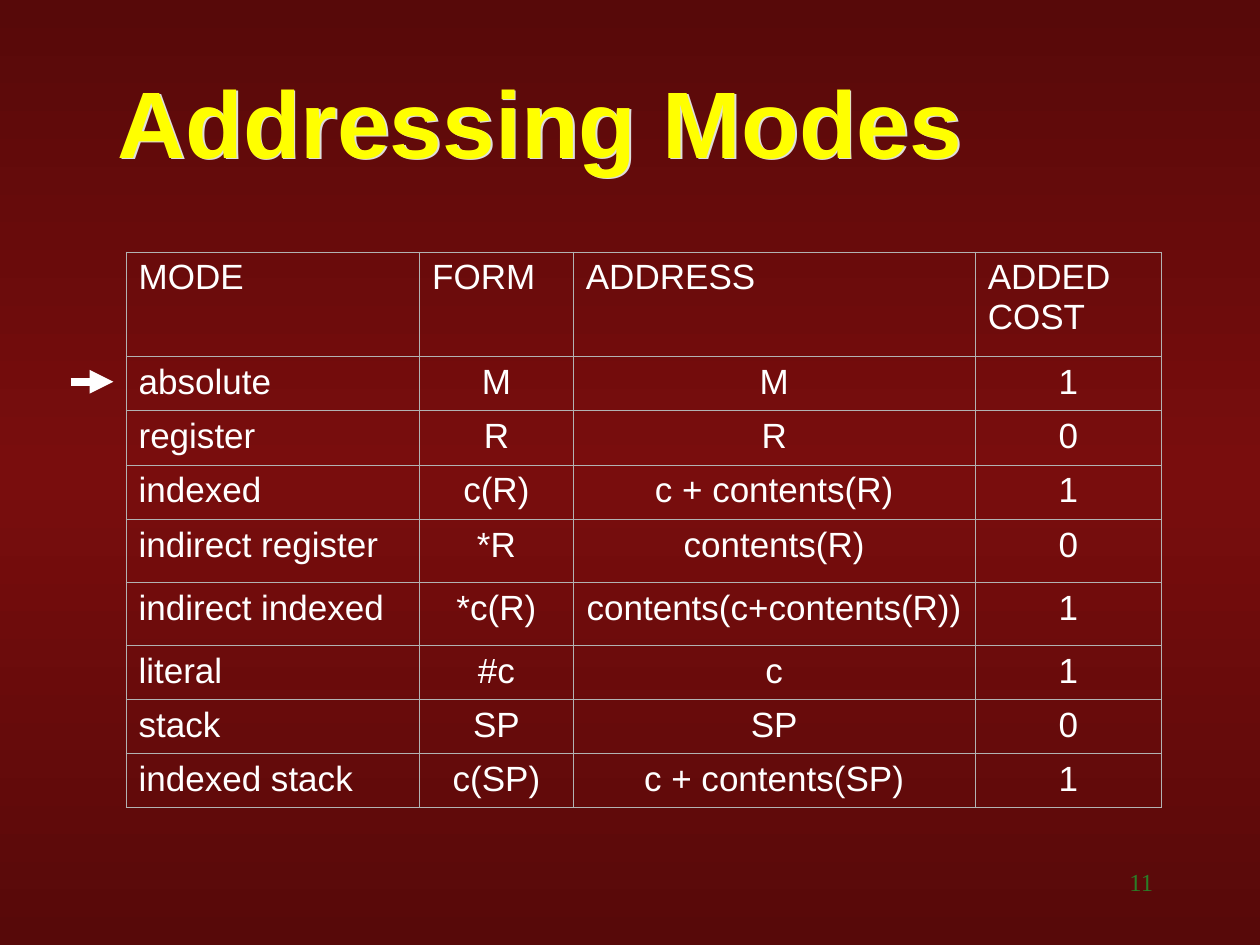
from copy import deepcopy

from lxml import etree
from pptx import Presentation
from pptx.dml.color import RGBColor
from pptx.enum.shapes import MSO_CONNECTOR
from pptx.enum.text import MSO_ANCHOR, MSO_AUTO_SIZE, PP_ALIGN
from pptx.oxml import parse_xml
from pptx.oxml.ns import nsdecls, qn
from pptx.util import Inches, Pt

LEFT, CENTER, RIGHT = PP_ALIGN.LEFT, PP_ALIGN.CENTER, PP_ALIGN.RIGHT
MIDDLE = MSO_ANCHOR.MIDDLE
NO_AUTOFIT = MSO_AUTO_SIZE.NONE
STRAIGHT = MSO_CONNECTOR.STRAIGHT

COLORS = {
    "edge": "570909",
    "middle": "790D0D",
    "title": "FFFF00",
    "title_shadow": "DDDDDD",
    "text": "FFFFFF",
    "border": "B2B2B2",
    "number": "2B7D27",
}
MODES = [
    ("MODE", "FORM", "ADDRESS", "ADDED COST"),
    ("absolute", "M", "M", "1"),
    ("register", "R", "R", "0"),
    ("indexed", "c(R)", "c + contents(R)", "1"),
    ("indirect register", "*R", "contents(R)", "0"),
    ("indirect indexed", "*c(R)", "contents(c+contents(R))", "1"),
    ("literal", "#c", "c", "1"),
    ("stack", "SP", "SP", "0"),
    ("indexed stack", "c(SP)", "c + contents(SP)", "1"),
]
COLUMN_WIDTHS = [2.33, 1.22, 3.19, 1.48]
ROW_HEIGHTS = [0.83, 0.43, 0.43, 0.43, 0.5, 0.5, 0.43, 0.43, 0.43]


def write(text_frame, text, size, color, alignment=LEFT, font="Arial", bold=False):
    paragraph = text_frame.paragraphs[0]
    paragraph.alignment = alignment
    run = paragraph.add_run()
    run.text = text
    run.font.size = Pt(size)
    run.font.name = font
    run.font.bold = bold
    run.font.color.rgb = RGBColor.from_string(COLORS[color])


def add_borders(cell):
    """Put a thin line on all four sides; borders go before the cell fill."""
    properties = cell._tc.get_or_add_tcPr()
    for position, side in enumerate(("lnL", "lnR", "lnT", "lnB")):
        border = parse_xml(
            f'<a:{side} {nsdecls("a")} w="{Pt(0.45)}"><a:solidFill>'
            f'<a:srgbClr val="{COLORS["border"]}"/></a:solidFill></a:{side}>'
        )
        properties.insert(position, border)


presentation = Presentation()
presentation.slide_width = Inches(10)
presentation.slide_height = Inches(7.5)
slide = presentation.slides.add_slide(presentation.slide_layouts[5])

# Background: dark at the top and bottom, lighter in the middle
background = slide.background.fill
background.gradient()
background.gradient_angle = 90
first_stop = background.gradient_stops[0]._gs
first_stop.addnext(deepcopy(first_stop))
for stop, position, color in zip(
    background.gradient_stops, (0, 0.5, 1), ("edge", "middle", "edge")
):
    stop.position = position
    stop.color.rgb = RGBColor.from_string(COLORS[color])

# Title
title = slide.shapes.title
title.left, title.top = Inches(0.83), Inches(0.33)
title.width, title.height = Inches(8.5), Inches(1.25)
title.text_frame.auto_size = NO_AUTOFIT
title.text_frame.vertical_anchor = MIDDLE
write(title.text_frame, "Addressing Modes", 54, "title", bold=True)
title.fill.background()
title._element.spPr.append(parse_xml(
    f'<a:effectLst {nsdecls("a")}><a:outerShdw dist="{Pt(1.5)}" dir="2700000">'
    f'<a:srgbClr val="{COLORS["title_shadow"]}"/></a:outerShdw></a:effectLst>'
))

# Table of modes
table = slide.shapes.add_table(
    len(MODES), len(COLUMN_WIDTHS), Inches(1), Inches(2),
    Inches(sum(COLUMN_WIDTHS)), Inches(sum(ROW_HEIGHTS)),
).table
table.first_row = False
table.horz_banding = False
for column, width in zip(table.columns, COLUMN_WIDTHS):
    column.width = Inches(width)
for row, height in zip(table.rows, ROW_HEIGHTS):
    row.height = Inches(height)
for row_index, mode in enumerate(MODES):
    for column_index, text in enumerate(mode):
        cell = table.cell(row_index, column_index)
        cell.fill.background()
        add_borders(cell)
        alignment = CENTER if row_index and column_index else LEFT
        write(cell.text_frame, text, 20, "text", alignment)

# Arrow to the current mode
arrow = slide.shapes.add_connector(
    STRAIGHT, Inches(0.56), Inches(3.03), Inches(0.9), Inches(3.03)
)
arrow.line.width = Pt(4.5)
arrow.line.color.rgb = RGBColor.from_string(COLORS["text"])
etree.SubElement(arrow.line._get_or_add_ln(), qn("a:tailEnd"), type="triangle")
etree.SubElement(arrow._element.spPr, qn("a:effectLst"))

# Slide number
number = slide.shapes.add_textbox(
    Inches(7.17), Inches(6.83), Inches(2.08), Inches(0.5)
)
number.text_frame.word_wrap = True
write(number.text_frame, "11", 14, "number", RIGHT, "Times New Roman")

presentation.save("out.pptx")
